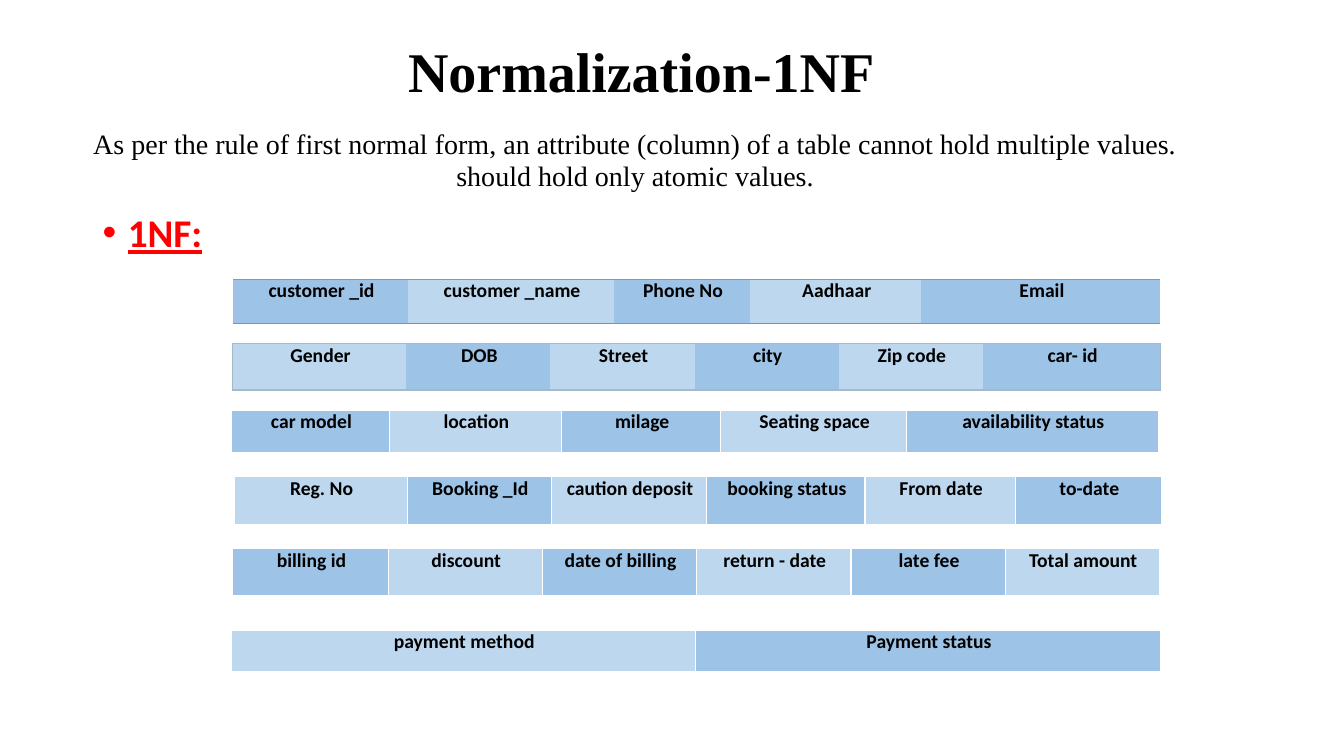
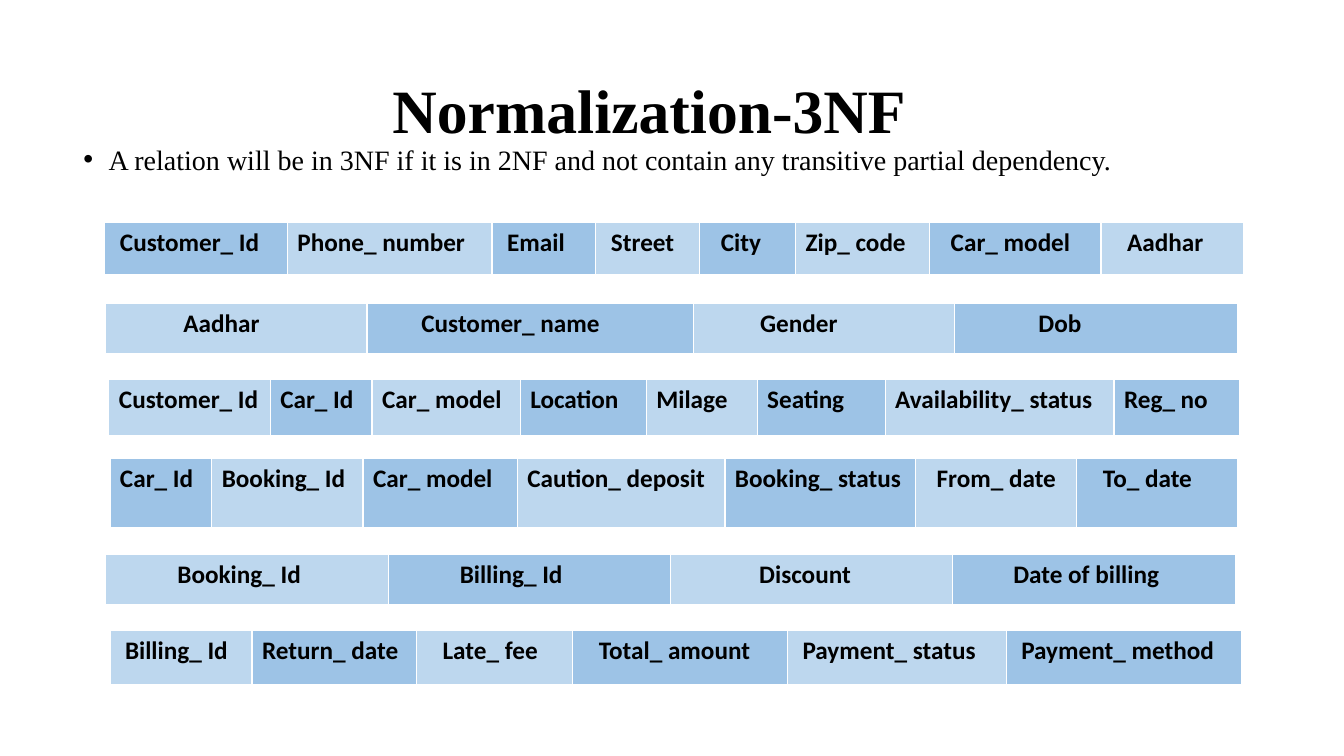
"""Build two slides on first and third normal form of a car rental database."""
from itertools import cycle, islice

from lxml import etree
from pptx import Presentation
from pptx.dml.color import RGBColor
from pptx.enum import text as t
from pptx.oxml import ns
from pptx.util import Inches, Pt

BLACK = RGBColor(0x00, 0x00, 0x00)
RED = RGBColor(0xFF, 0x00, 0x00)
WHITE = RGBColor(0xFF, 0xFF, 0xFF)
GREEN = RGBColor(0x70, 0xAD, 0x47)
SLATE = RGBColor(0x7F, 0x9D, 0xB0)
MIST = RGBColor(0xA5, 0xB9, 0xC8)
DARK = RGBColor(0x9D, 0xC3, 0xE6)
LIGHT = RGBColor(0xBD, 0xD7, 0xEE)
SERIF, SANS = "Times New Roman", "Calibri"

GRID = {edge: (WHITE, 1) for edge in "LRTB"} | {"inner": (WHITE, 1)}
RULED = {"T": (SLATE, 1), "B": (GREEN, 1.5)}
FRAMED = {edge: (MIST, 1) for edge in "LRTB"}

FIRST_FORM = [
    (2.31, 2.77, 0.44, DARK, RULED, [
        ("customer _id", 1.74), ("customer _name", 2.04), ("Phone No", 1.35),
        ("Aadhaar", 1.7), ("Email", 2.37)]),
    (2.31, 3.41, 0.46, LIGHT, FRAMED, [
        ("Gender", 1.72), ("DOB", 1.43), ("Street", 1.43), ("city", 1.43),
        ("Zip code", 1.43), ("car- id", 1.76)]),
    (2.3, 4.07, 0.42, DARK, GRID, [
        ("car model", 1.56), ("location", 1.71), ("milage", 1.58),
        ("Seating space", 1.84), ("availability status", 2.5)]),
    (2.32, 4.73, 0.47, LIGHT, GRID, [
        ("Reg. No", 1.72), ("Booking _Id", 1.43), ("caution deposit", 1.54),
        ("booking status", 1.57), ("From date", 1.49), ("to-date", 1.45)]),
    (2.31, 5.44, 0.47, DARK, GRID, [
        ("billing id", 1.54), ("discount", 1.53), ("date of billing", 1.53),
        ("return - date", 1.53), ("late fee", 1.53), ("Total amount", 1.53)]),
    (2.29, 6.25, 0.41, LIGHT, GRID, [
        ("payment method", 4.61), ("Payment status", 4.61)]),
]

THIRD_FORM = [
    (1.04, 2.21, 0.51, DARK, GRID, [
        ("Customer_ Id", 1.81, 0.15), ("Phone_ number", 2.03), ("Email", 1.03, 0.15),
        ("Street", 1.03, 0.15), ("City", 0.95, 0.21), ("Zip_ code", 1.33),
        ("Car_ model", 1.7, 0.21), ("Aadhar", 1.41, 0.26)]),
    (1.05, 3.01, 0.5, LIGHT, GRID, [
        ("Aadhar", 2.59, 0.77), ("Customer_ name", 3.24, 0.54),
        ("Gender", 2.59, 0.66), ("Dob", 2.81, 0.83)]),
    (1.08, 3.76, 0.56, LIGHT, GRID, [
        ("Customer_ Id", 1.6), ("Car_ Id", 1.01), ("Car_ model", 1.47),
        ("Location", 1.25), ("Milage", 1.1), ("Seating", 1.27),
        ("Availability_ status", 2.27), ("Reg_ no", 1.25)]),
    (1.09, 4.55, 0.68, DARK, GRID, [
        ("Car_ Id", 1.01), ("Booking_ Id", 1.5), ("Car_ model", 1.53),
        ("Caution_ deposit", 2.06), ("Booking_ status", 1.89),
        ("From_ date", 1.6, 0.21), ("To_ date", 1.6, 0.26)]),
    (1.05, 5.5, 0.5, LIGHT, GRID, [
        ("Booking_ Id", 2.8, 0.71), ("Billing_ Id", 2.8, 0.71),
        ("Discount", 2.8, 0.88), ("Date of billing", 2.8, 0.6)]),
    (1.09, 6.25, 0.54, LIGHT, GRID, [
        ("Billing_ Id", 1.41, 0.15), ("Return_ date", 1.63), ("Late_ fee", 1.55, 0.26),
        ("Total_ amount", 2.13, 0.26), ("Payment_ status", 2.17, 0.15),
        ("Payment_ method", 2.33, 0.15)]),
]

TITLE = {"bold": True, "align": t.PP_ALIGN.CENTER}
RULE_TEXT = ("As per the rule of first normal form, an attribute (column) of a table "
             "cannot hold multiple values. should hold only atomic values.")
RELATION_TEXT = ("A relation will be in 3NF if it is in 2NF and not contain any "
                 "transitive partial dependency.")

SLIDES = [
    {"texts": [
        ("Normalization-1NF", (0.71, 0.31, 11.3, 0.74), {"size": 40, **TITLE}),
        (RULE_TEXT, (0.65, 1.22, 11.3, 0.72),
         {"align": t.PP_ALIGN.CENTER, "spacing": 0.97}),
        ("1NF:", (0.92, 2.02, 11.5, 0.6),
         {"size": 28, "face": SANS, "color": RED, "bold": True, "underline": True,
          "bullet": True})],
     "tables": FIRST_FORM,
     "cells": {"size": 14, "align": t.PP_ALIGN.CENTER},
     "margins": (0.07, 0)},
    {"texts": [
        ("Normalization-3NF", (3.78, 0.66, 5.32, 0.84), {"size": 44, **TITLE}),
        (RELATION_TEXT, (0.73, 1.36, 11.5, 0.45), {"bullet": True})],
     "tables": THIRD_FORM,
     "cells": {"size": 18},
     "margins": (0.1, 0.05)},
]


def write(frame, content, size=20, face=SERIF, color=BLACK, bold=False, underline=False,
          align=t.PP_ALIGN.LEFT, spacing=1.0, bullet=False):
    frame.word_wrap = True
    paragraph = frame.paragraphs[0]
    if bullet:
        properties = paragraph._p.get_or_add_pPr()
        properties.set("marL", str(Inches(0.25)))
        properties.set("indent", str(-Inches(0.25)))
        etree.SubElement(properties, ns.qn("a:buFont"), typeface="Arial")
        etree.SubElement(properties, ns.qn("a:buChar"), char="•")
    paragraph.alignment = align
    paragraph.line_spacing = spacing
    run = paragraph.add_run()
    run.text = content
    font = run.font
    font.size, font.name, font.bold, font.underline = Pt(size), face, bold, underline
    font.color.rgb = color


def set_borders(cell, edges):
    properties = cell._tc.get_or_add_tcPr()
    for edge in "LRTB":
        color, width = edges.get(edge) or (None, 0)
        line = etree.SubElement(properties, ns.qn(f"a:ln{edge}"), w=str(Pt(width)))
        if color is None:
            etree.SubElement(line, ns.qn("a:noFill"))
        else:
            fill = etree.SubElement(line, ns.qn("a:solidFill"))
            etree.SubElement(fill, ns.qn("a:srgbClr"), val=str(color))


def add_field_table(slide, left, top, height, first_fill, borders, fields, style, margins):
    side, vertical = margins
    width = sum(field[1] for field in fields)
    table = slide.shapes.add_table(
        1, len(fields), Inches(left), Inches(top), Inches(width), Inches(height)).table
    table.first_row = table.horz_banding = False
    fills = (DARK, LIGHT) if first_fill == DARK else (LIGHT, DARK)
    last = len(fields) - 1
    for index, (field, fill) in enumerate(zip(fields, islice(cycle(fills), len(fields)))):
        name, column_width, *indent = field
        table.columns[index].width = Inches(column_width)
        cell = table.cell(0, index)
        cell.margin_left = Inches(indent[0] if indent else side)
        cell.margin_right = Inches(0.05)
        cell.margin_top = cell.margin_bottom = Inches(vertical)
        write(cell.text_frame, name, face=SANS, bold=True, **style)
        inner = borders.get("inner")
        set_borders(cell, {
            "L": borders.get("L") if index == 0 else inner,
            "R": borders.get("R") if index == last else inner,
            "T": borders.get("T"), "B": borders.get("B")})
        cell.fill.solid()
        cell.fill.fore_color.rgb = fill


def main():
    presentation = Presentation()
    presentation.slide_width, presentation.slide_height = Inches(13.33), Inches(7.5)
    for content in SLIDES:
        slide = presentation.slides.add_slide(presentation.slide_layouts[6])
        for words, place, style in content["texts"]:
            box = slide.shapes.add_textbox(*map(Inches, place))
            write(box.text_frame, words, **style)
        for table in content["tables"]:
            add_field_table(slide, *table, content["cells"], content["margins"])
    presentation.save("out.pptx")


if __name__ == "__main__":
    main()
